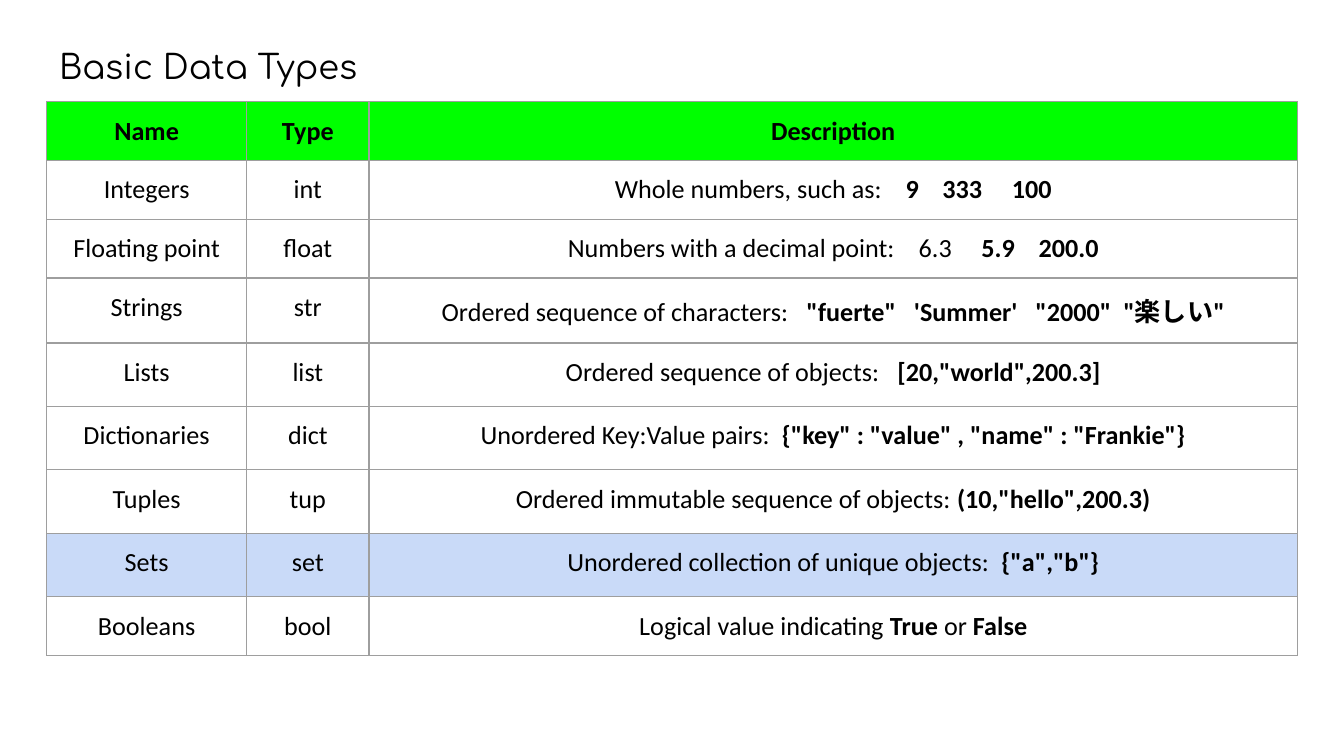
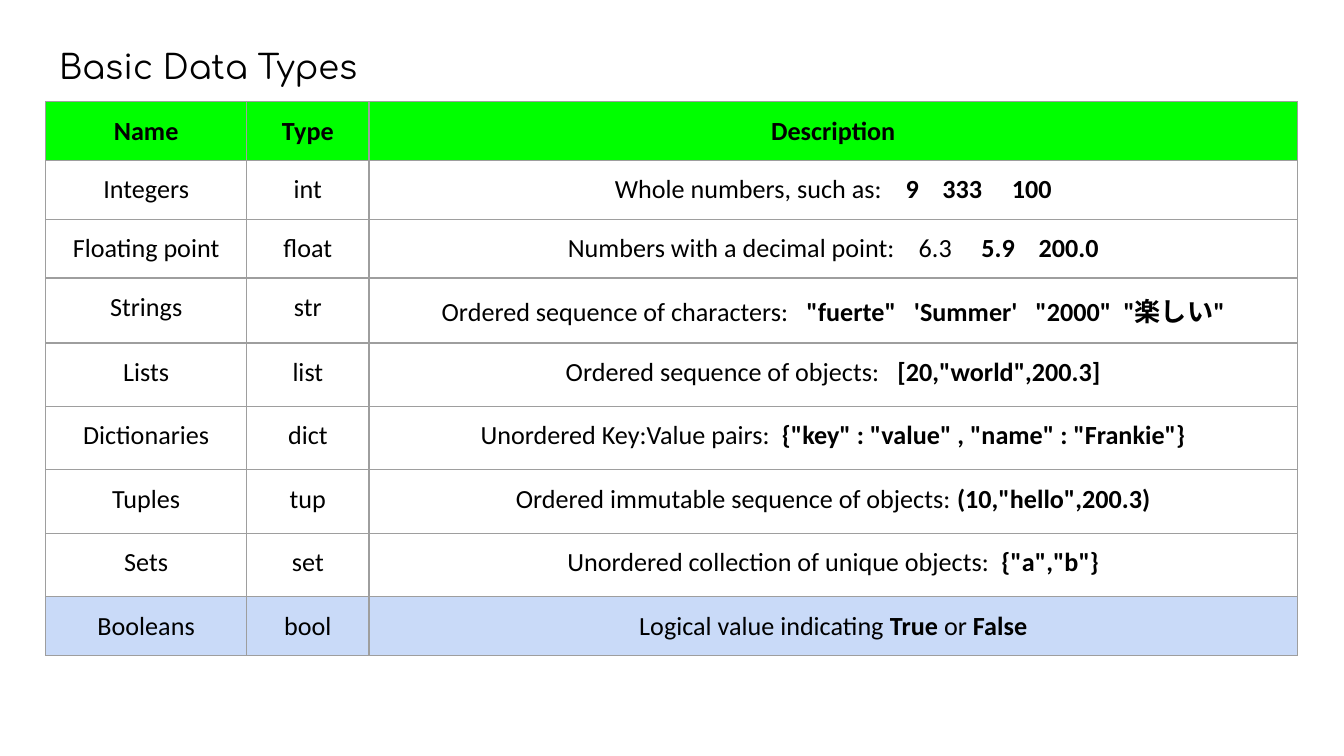
from lxml.etree import SubElement as Sub
from pptx import Presentation
from pptx.dml.color import RGBColor as RGB
from pptx.enum.text import MSO_ANCHOR as Anchor, MSO_AUTO_SIZE as Fit, PP_ALIGN as Align
from pptx.oxml.ns import qn
from pptx.util import Pt

BLACK = RGB(0x00, 0x00, 0x00)
WHITE = RGB(0xFF, 0xFF, 0xFF)
GREEN = RGB(0x00, 0xFF, 0x00)
BLUE = RGB(0xC9, 0xDA, 0xF8)
GREY = RGB(0x9E, 0x9E, 0x9E)

INSET = Pt(7.2)
SPACE = 3.16  # width of a space in 14 pt Calibri
TOP = 54.5
TYPE_X, DESC_X, RIGHT = 132.2, 197.7, 695.2
HEIGHTS = [29.5, 29.5, 29.5, 32.4, 34, 34, 34, 34, 22.3]

HEAD = ["Name", "Type", "Description"]
# Each piece of a description: text, bold, width of the gap after it in spaces
TYPES = [
    ("Integers", "int", [("Whole numbers, such as:", False, 4), ("9", True, 4),
                         ("333", True, 5), ("100", True, 0)]),
    ("Floating point", "float", [("Numbers with a decimal point:", False, 4),
                                 ("6.3", False, 5), ("5.9", True, 4),
                                 ("200.0", True, 0)]),
    ("Strings", "str", [("Ordered sequence of characters:", False, 3),
                        ('"fuerte"', True, 3), ("'Summer'", True, 3),
                        ('"2000"', True, 2), ('"楽しい"', True, 0)]),
    ("Lists", "list", [("Ordered sequence of objects:", False, 3),
                       ('[20,"world",200.3]', True, 0)]),
    ("Dictionaries", "dict", [("Unordered Key:Value pairs:", False, 2),
                              ('{"key" : "value" , "name" : "Frankie"}', True, 0)]),
    ("Tuples", "tup", [("Ordered immutable sequence of objects:", False, 1),
                       ('(10,"hello",200.3)', True, 0)]),
    ("Sets", "set", [("Unordered collection of unique objects:", False, 2),
                     ('{"a","b"}', True, 0)]),
    ("Booleans", "bool", [("Logical value indicating", False, 1), ("True", True, 1),
                          ("or", False, 1), ("False", True, 0)]),
]


def style(para, name, size, align):
    para.alignment = align
    font = para.font
    font.name, font.size = name, Pt(size)
    font.color.rgb = BLACK


def pad(box):
    box.margin_left = box.margin_right = INSET
    box.margin_top = box.margin_bottom = INSET


def add_title(slide, text):
    title = slide.shapes.title
    title.left, title.top = Pt(24.5), Pt(17.3)
    title.width, title.height = Pt(283.7), Pt(41)
    frame = title.text_frame
    pad(frame)
    frame.auto_size, frame.vertical_anchor = Fit.NONE, Anchor.TOP
    frame.text = text
    style(frame.paragraphs[0], "Comfortaa", 18, Align.LEFT)


def add_piece(para, text, bold, gap):
    """Add a run, then one space stretched to the width of the gap."""
    run = para.add_run()
    run.text, run.font.bold = text, bold
    if gap:
        space = para.add_run()
        space.text, space.font.bold = " ", bold
        if gap > 1:
            space.font._element.set("spc", str(round((gap - 1) * SPACE * 100)))


def add_edges(cell):
    props = cell._tc.get_or_add_tcPr()
    for side in ("lnL", "lnR", "lnT", "lnB"):
        line = Sub(props, qn(f"a:{side}"), w=str(Pt(0.75)))
        Sub(Sub(line, qn("a:solidFill")), qn("a:srgbClr"), val=str(GREY))


def fill_cell(cell, pieces, color):
    pad(cell)
    add_edges(cell)
    cell.fill.solid()
    cell.fill.fore_color.rgb = color
    para = cell.text_frame.paragraphs[0]
    style(para, "Calibri", 14, Align.CENTER)
    for piece in pieces:
        add_piece(para, *piece)


def add_types(slide, left, marked):
    """Add the table of types with the row of the marked type in blue."""
    shape = slide.shapes.add_table(len(TYPES) + 1, len(HEAD), Pt(left), Pt(TOP),
                                   Pt(RIGHT - left), Pt(sum(HEIGHTS)))
    table = shape.table
    table.horz_banding = False
    edges = [left, TYPE_X, DESC_X, RIGHT]
    for col, start, end in zip(table.columns, edges, edges[1:]):
        col.width = Pt(end - start)
    for row, height in zip(table.rows, HEIGHTS):
        row.height = Pt(height)

    for cell, text in zip(table.rows[0].cells, HEAD):
        fill_cell(cell, [(text, True, 0)], GREEN)
    for r, (name, kind, desc) in enumerate(TYPES, 1):
        color = BLUE if name == marked else WHITE
        row = [[(name, False, 0)], [(kind, False, 0)], desc]
        for cell, pieces in zip(table.rows[r].cells, row):
            fill_cell(cell, pieces, color)


def main():
    prs = Presentation()
    prs.slide_width, prs.slide_height = Pt(720), Pt(405)
    layout = prs.slide_layouts.get_by_name("Title Only")
    for left, marked in ((25, "Sets"), (24.5, "Booleans")):
        slide = prs.slides.add_slide(layout)
        add_types(slide, left, marked)
        add_title(slide, "Basic Data Types")
    prs.save("out.pptx")


if __name__ == "__main__":
    main()
